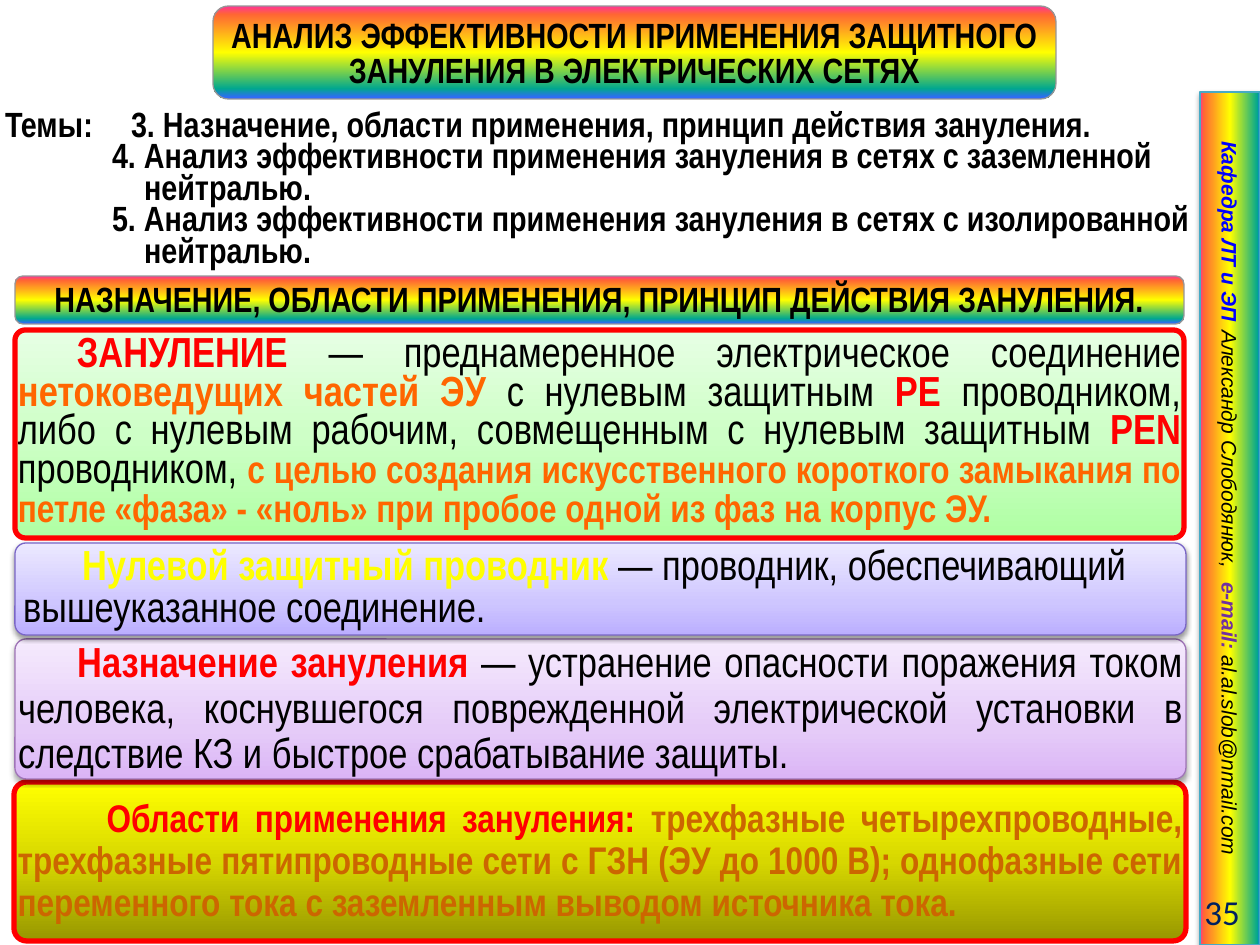
from lxml.etree import SubElement
from pptx import Presentation
from pptx.dml.color import RGBColor
from pptx.enum.shapes import MSO_SHAPE
from pptx.enum.text import MSO_ANCHOR, PP_ALIGN
from pptx.oxml.ns import qn
from pptx.util import Emu, Pt

SCALE = 914400 / 126
NARROW = "Arial Narrow"
BLACK, RED, ORANGE = "000000", "FF0000", "FF6600"
RAINBOW = [(0, "FF3399"), (9, "FF6633"), (50, "FFFF00"), (89, "01A78F"), (99, "3366FF")]
SPECTRUM = [(0, "FF3399"), (6, "FF6633"), (50, "FFFF00"), (96, "01A78F"), (100, "3366FF")]
GREEN = [(0, "AFFFA3"), (50, "CEFFC7"), (100, "E7FFE4")]
BLUE = [(0, "BBAEFF"), (35, "CEC6FF"), (100, "ECE9FF")]
VIOLET = [(0, "DBB5F6"), (35, "E5CBF8"), (100, "F5EAFD")]
GOLD = [(0, "979700"), (50, "D7D700"), (100, "FFFF00")]


def px(count):
    return Emu(round(count * SCALE))


def paint(color, value):
    color.rgb = RGBColor.from_string(value)


def blend(shape, stops, angle):
    shape.fill.gradient()
    grad = shape._element.spPr.find(qn("a:gradFill"))
    rows = grad.find(qn("a:gsLst"))
    rows.clear()
    for place, value in stops:
        stop = SubElement(rows, qn("a:gs"), pos=str(place * 1000))
        SubElement(stop, qn("a:srgbClr"), val=value)
    grad.find(qn("a:lin")).set("ang", str(angle * 60000))


def shade(shape):
    effects = shape._element.spPr.find(qn("a:effectLst"))
    outer = SubElement(effects, qn("a:outerShdw"), blurRad=str(Pt(3.1)),
                       dist=str(Pt(1.6)), dir="5400000", rotWithShape="0")
    color = SubElement(outer, qn("a:srgbClr"), val=BLACK)
    SubElement(color, qn("a:alpha"), val="38000")


def panel(slide, box, kind, stops, angle, edge, width, shadow=False):
    shape = slide.shapes.add_shape(kind, *map(px, box))
    shape.shadow.inherit = False
    blend(shape, stops, angle)
    paint(shape.line.color, edge)
    shape.line.width = Pt(width)
    if shadow:
        shade(shape)
    return shape


def frame(shape, pads):
    text = shape.text_frame
    text.word_wrap = True
    text.vertical_anchor = MSO_ANCHOR.MIDDLE
    text.margin_left, text.margin_top, text.margin_right, text.margin_bottom = map(px, pads)
    return text


def write(par, runs, size, face=NARROW, align=PP_ALIGN.LEFT, lead=None,
          left=0, first=0, tabs=(), italic=False):
    props = par._p.get_or_add_pPr()
    props.set("marL", str(px(left)))
    props.set("indent", str(px(first)))
    if tabs:
        stops = SubElement(props, qn("a:tabLst"))
        for tab in tabs:
            SubElement(stops, qn("a:tab"), pos=str(px(tab)), algn="l")
    par.alignment = align
    if lead:
        par.line_spacing = Pt(lead)
    par.font.name = face
    par.font.size = Pt(size)
    par.font.italic = italic
    for words, color, bold, *other in runs:
        run = par.add_run()
        run.text = words
        run.font.bold = bold
        paint(run.font.color, color)
        if other:
            run.font.size = Pt(other[0])


def sidebar(slide, box):
    x, y, w, h = box
    flat = (x + (w - h) / 2, y + (h - w) / 2, h, w)
    shape = panel(slide, flat, MSO_SHAPE.RECTANGLE, SPECTRUM, 270, "46AAC5", 0.75, True)
    shape.rotation = 90
    runs = [("Кафедра ЛТ и ЭП\t", "0000FF", True),
            ("Александр Слободянюк,\t", BLACK, False),
            ("e-mail: ", "7030A0", True),
            ("al.al.slob@nmail.com", BLACK, False)]
    write(frame(shape, (49, 6, 0, 6)).paragraphs[0], runs, 12, "Arial",
          tabs=(233, 483), italic=True)


def number(slide, box):
    text = frame(slide.shapes.add_textbox(*map(px, box)), (13, 6, 13, 6))
    write(text.paragraphs[0], [("35", "002060", False)], 20, "Calibri", PP_ALIGN.RIGHT)


def topics(slide, box):
    text = frame(slide.shapes.add_textbox(*map(px, box)), (5, 5, 5, 5))
    lines = [
        (0, "Темы:\t3. Назначение, области применения, принцип действия зануления."),
        (107, "4. Анализ эффективности применения зануления в сетях с заземленной"),
        (139, "нейтралью."),
        (107, "5. Анализ эффективности применения зануления в сетях с изолированной"),
        (139, "нейтралью."),
    ]
    for spot, (left, words) in enumerate(lines):
        par = text.add_paragraph() if spot else text.paragraphs[0]
        write(par, [(words, BLACK, True)], 20, lead=18, left=left,
              tabs=() if left else (104,))


def banner(slide, box, words):
    shape = panel(slide, box, MSO_SHAPE.ROUNDED_RECTANGLE, RAINBOW, 90, "969696", 0.75)
    write(frame(shape, (5, 5, 5, 0)).paragraphs[0], [(words, BLACK, True)], 20,
          align=PP_ALIGN.CENTER, lead=20)


def card(slide, box, bend, stops, edge, width, runs, size, lead, pads=(0, 0, 0, 0),
         align=PP_ALIGN.JUSTIFY, first=59, shadow=False):
    shape = panel(slide, box, MSO_SHAPE.ROUNDED_RECTANGLE, stops, 270, edge, width, shadow)
    shape.adjustments[0] = bend
    write(frame(shape, pads).paragraphs[0], runs, size, align=align, lead=lead, first=first)


def main():
    deck = Presentation()
    deck.slide_width, deck.slide_height = px(1260), px(945)
    slide = deck.slides.add_slide(deck.slide_layouts[6])
    sidebar(slide, (1200, 92, 60, 853))
    number(slide, (1116, 886, 137, 50))
    topics(slide, (0, 106, 1201, 171))
    banner(slide, (213, 6, 843, 93),
           "АНАЛИЗ ЭФФЕКТИВНОСТИ ПРИМЕНЕНИЯ ЗАЩИТНОГО ЗАНУЛЕНИЯ В ЭЛЕКТРИЧЕСКИХ СЕТЯХ")
    card(slide, (14, 782, 1172, 159), 0.08, GOLD, RED, 3, [
        ("Области применения зануления: ", RED, True),
        ("трехфазные четырехпроводные, трехфазные пятипроводные сети с ГЗН "
         "(ЭУ до 1000 В); однофазные сети переменного тока с заземленным выводом "
         "источника тока.", "CC6600", True),
    ], 22, 24, (0, 5, 0, 5), first=89)
    card(slide, (15, 639, 1171, 140), 0.08, VIOLET, "A075B8", 0.75, [
        ("Назначение зануления ", RED, True),
        ("— устранение опасности поражения током человека, коснувшегося поврежденной "
         "электрической установки в следствие КЗ и быстрое срабатывание защиты.",
         BLACK, False),
    ], 24, 26, shadow=True)
    card(slide, (15, 543, 1171, 92), 0.12, BLUE, "7A66C7", 0.75, [
        ("Нулевой защитный проводник ", "FFFF00", True),
        ("— проводник, обеспечивающий вышеуказанное соединение.", BLACK, False),
    ], 24, 24, (5, 5, 5, 5), PP_ALIGN.LEFT, shadow=True)
    card(slide, (15, 330, 1169, 208), 0.05, GREEN, RED, 3, [
        ("ЗАНУЛЕНИЕ ", RED, True),
        ("— преднамеренное электрическое соединение ", BLACK, False),
        ("нетоковедущих частей ЭУ ", ORANGE, True),
        ("с нулевым защитным ", BLACK, False),
        ("PE ", RED, True),
        ("проводником, либо с нулевым рабочим, совмещенным с нулевым защитным ",
         BLACK, False),
        ("PEN ", RED, True),
        ("проводником, ", BLACK, False),
        ("с целью создания искусственного короткого замыкания по петле "
         "«фаза» - «ноль» при пробое одной из фаз на корпус ЭУ.", ORANGE, True, 22),
    ], 24, 22)
    banner(slide, (15, 276, 1169, 48),
           "НАЗНАЧЕНИЕ, ОБЛАСТИ ПРИМЕНЕНИЯ, ПРИНЦИП ДЕЙСТВИЯ ЗАНУЛЕНИЯ.")
    deck.save("out.pptx")


if __name__ == "__main__":
    main()
